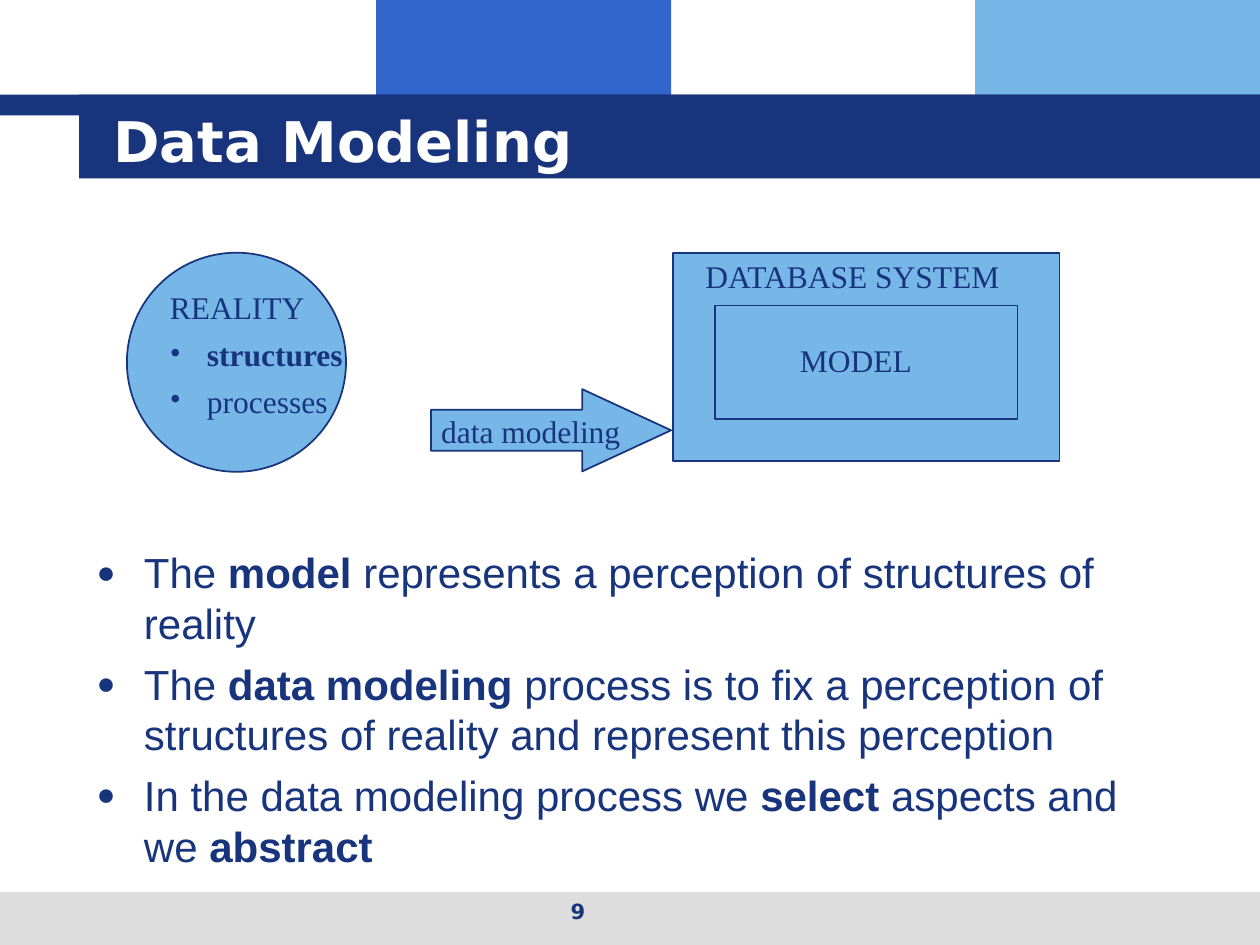
from dataclasses import dataclass
from typing import Optional

from lxml.etree import SubElement
from pptx import Presentation
from pptx.dml.color import RGBColor
from pptx.enum.shapes import MSO_SHAPE as Preset
from pptx.enum.text import MSO_ANCHOR as Anchor, MSO_AUTO_SIZE as AutoSize, PP_ALIGN as Align
from pptx.oxml.ns import qn
from pptx.util import Pt

COLORS = {
    "navy": "17347D",
    "blue": "3366CC",
    "sky": "77B7E7",
    "gray": "DDDDDD",
    "white": "FFFFFF",
}


@dataclass(frozen=True)
class Box:
    left: float
    top: float
    width: float
    height: float

    def lengths(self) -> list:
        return [Pt(value) for value in (self.left, self.top, self.width, self.height)]


@dataclass(frozen=True)
class Figure:
    box: Box
    fill: str
    preset: Preset = Preset.RECTANGLE
    outlined: bool = False
    adjustments: tuple = ()


@dataclass(frozen=True)
class Style:
    font: str
    size: float
    color: str = "navy"
    bold: bool = False
    space_before: float = 0
    line_spacing: Optional[float] = None
    align: Align = Align.LEFT
    bullet: str = ""
    bullet_percent: int = 100
    indent: float = 0


@dataclass(frozen=True)
class Label:
    box: Box
    lines: tuple
    wrap: bool = True
    anchor: Anchor = Anchor.TOP


TITLE = Style("DejaVu Sans", 32, color="white", bold=True)
NUMBER = Style("DejaVu Sans", 12, bold=True, align=Align.CENTER)
DIAGRAM = Style("Times New Roman", 18, space_before=11.2)
ARROW = Style("Times New Roman", 18)
ASPECT = Style("Times New Roman", 18, space_before=11.2, line_spacing=0.7,
               bullet="•", indent=21.2)
POINT = Style("Arial", 24, space_before=6, bullet="●", bullet_percent=75, indent=27)

ELEMENTS = (
    Figure(Box(215, 0, 168.5, 66), "blue"),
    Figure(Box(557.3, 0, 162.7, 66), "sky"),
    Figure(Box(0, 509.8, 720, 30.2), "gray"),
    Figure(Box(0, 54, 720, 12), "navy"),
    Figure(Box(45.2, 54, 674.8, 48), "navy"),
    Label(Box(57.6, 57.6, 614, 44.6), (("Data Modeling", TITLE),), anchor=Anchor.MIDDLE),
    Figure(Box(72.5, 144.4, 125.2, 125.2), "sky", Preset.OVAL, True),
    Label(Box(90, 161.3, 139, 81.4), (
        ("REALITY", DIAGRAM),
        ("**structures**", ASPECT),
        ("processes", ASPECT),
    )),
    Figure(Box(384.5, 144.4, 221, 119), "sky", outlined=True),
    Label(Box(396, 143.3, 193, 28.8), (("DATABASE SYSTEM", DIAGRAM),)),
    Figure(Box(408.4, 174.5, 173, 65), "sky", outlined=True),
    Label(Box(450, 191.5, 114.5, 28.8), (("MODEL", DIAGRAM),)),
    Figure(Box(246.3, 222.4, 137.2, 47), "sky", Preset.RIGHT_ARROW, True, (0.5, 1.08)),
    Label(Box(245, 231.8, 116.6, 28.8), (("data modeling", ARROW),), wrap=False),
    Label(Box(48.2, 309, 612, 201), (
        ("The **model** represents a perception of structures of reality", POINT),
        ("The **data modeling **process is to fix a perception of structures of reality"
         " and represent this perception", POINT),
        ("In the data modeling process we **select** aspects and we **abstract**", POINT),
    )),
    Label(Box(246.3, 509.8, 168, 25.2), (("9", NUMBER),)),
)


def color(name: str) -> RGBColor:
    return RGBColor.from_string(COLORS[name])


def draw_figure(slide, figure: Figure) -> None:
    shape = slide.shapes.add_shape(figure.preset, *figure.box.lengths())
    shape.shadow.inherit = False
    shape.fill.solid()
    shape.fill.fore_color.rgb = color(figure.fill)
    for index, value in enumerate(figure.adjustments):
        shape.adjustments[index] = value
    if figure.outlined:
        shape.line.color.rgb = color("navy")
        shape.line.width = Pt(1)
    else:
        shape.line.fill.background()


def add_bullet(paragraph, style: Style) -> None:
    properties = paragraph._p.get_or_add_pPr()
    properties.set("marL", str(Pt(style.indent)))
    properties.set("indent", str(-Pt(style.indent)))
    bullet_color = SubElement(properties, qn("a:buClr"))
    SubElement(bullet_color, qn("a:srgbClr"), val=COLORS[style.color])
    SubElement(properties, qn("a:buSzPct"), val=str(style.bullet_percent * 1000))
    SubElement(properties, qn("a:buFont"), typeface=style.font)
    SubElement(properties, qn("a:buChar"), char=style.bullet)


def write_paragraph(paragraph, text: str, style: Style) -> None:
    paragraph.alignment = style.align
    paragraph.space_before = Pt(style.space_before)
    if style.line_spacing:
        paragraph.line_spacing = style.line_spacing
    if style.bullet:
        add_bullet(paragraph, style)
    for index, part in enumerate(text.split("**")):
        if not part:
            continue
        run = paragraph.add_run()
        run.text = part
        run.font.name = style.font
        run.font.size = Pt(style.size)
        run.font.bold = style.bold or index % 2 == 1
        run.font.color.rgb = color(style.color)


def draw_label(slide, label: Label) -> None:
    text_frame = slide.shapes.add_textbox(*label.box.lengths()).text_frame
    text_frame.word_wrap = label.wrap
    text_frame.auto_size = AutoSize.NONE
    text_frame.vertical_anchor = label.anchor
    for index, (text, style) in enumerate(label.lines):
        paragraph = text_frame.add_paragraph() if index else text_frame.paragraphs[0]
        write_paragraph(paragraph, text, style)


def main() -> None:
    presentation = Presentation()
    presentation.slide_width, presentation.slide_height = Pt(720), Pt(540)
    slide = presentation.slides.add_slide(presentation.slide_layouts[6])
    for element in ELEMENTS:
        if isinstance(element, Figure):
            draw_figure(slide, element)
        else:
            draw_label(slide, element)
    presentation.save("out.pptx")


if __name__ == "__main__":
    main()
